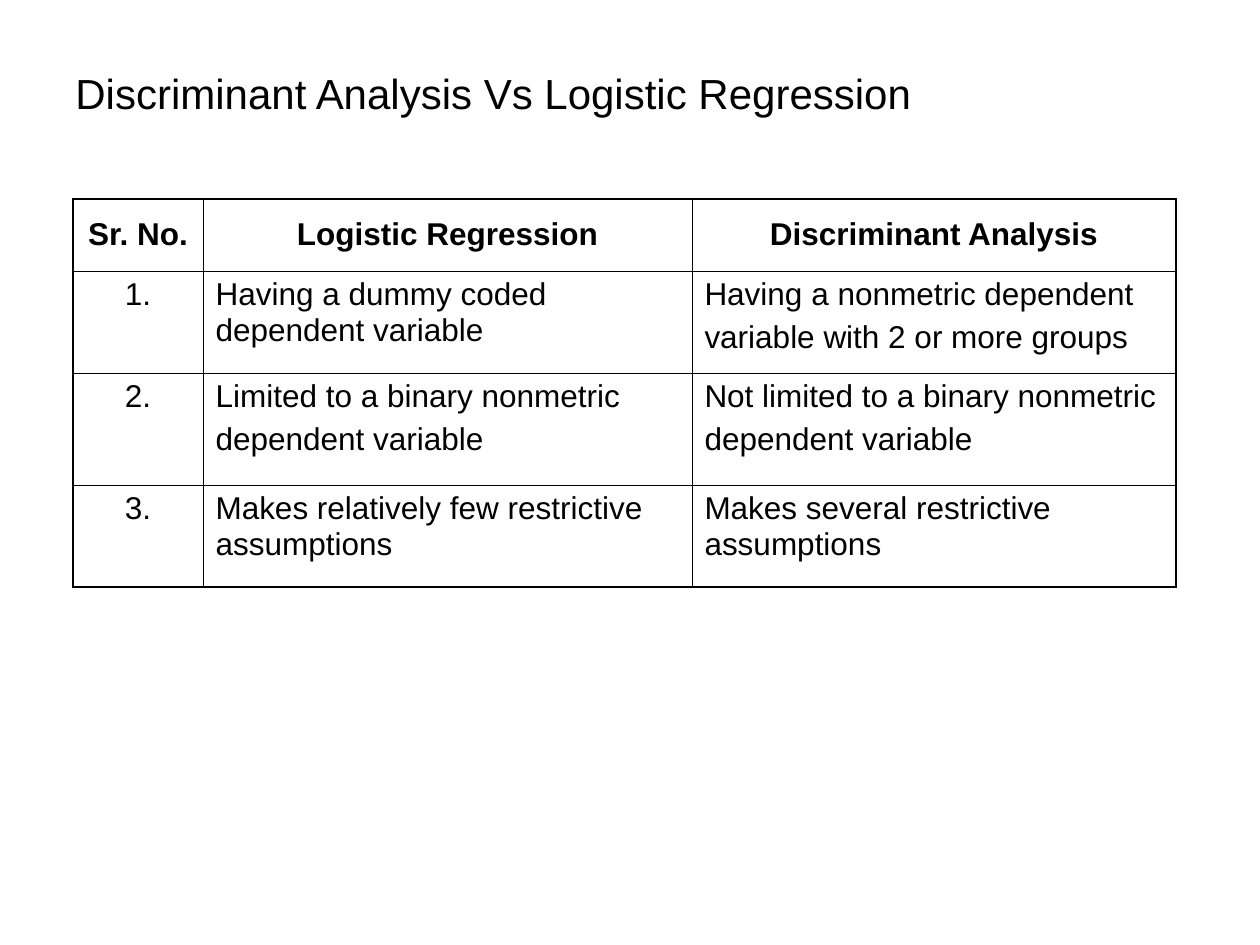
from lxml import etree
from pptx import Presentation
from pptx import util as u
from pptx.dml import color
from pptx.enum import text
from pptx.oxml import ns

FONT = "Arial"
BLACK = "000000"
THIN, THICK = 0.45, 1.08
COLUMN_WIDTHS = [74.2, 279.4, 276.5]
ROW_HEIGHTS = [41, 58.3, 64.1, 58.3]

# Each cell is a list of paragraphs.
ROWS = [
    [["Sr. No."], ["Logistic Regression"], ["Discriminant Analysis"]],
    [["1."],
     ["Having a dummy coded dependent variable"],
     ["Having a nonmetric dependent", "variable with 2 or more groups"]],
    [["2."],
     ["Limited to a binary nonmetric", "dependent variable"],
     ["Not limited to a binary nonmetric", "dependent variable"]],
    [["3."],
     ["Makes relatively few restrictive assumptions"],
     ["Makes several restrictive assumptions"]],
]


def rgb(value):
    return color.RGBColor.from_string(value)


def add_span(para, words, size, bold=False):
    span = para.add_run()
    span.text = words
    span.font.name = FONT
    span.font.size = u.Pt(size)
    span.font.bold = bold
    span.font.color.rgb = rgb(BLACK)


def add_title(page, words):
    box = page.shapes.add_textbox(u.Pt(36), u.Pt(21.6), u.Pt(648), u.Pt(62.6))
    frame = box.text_frame
    frame.word_wrap = True
    frame.vertical_anchor = text.MSO_ANCHOR.MIDDLE
    add_span(frame.paragraphs[0], words, 24)


def add_border(cell, side, width):
    properties = cell._tc.get_or_add_tcPr()
    line = etree.SubElement(properties, ns.qn(f"a:ln{side}"), w=str(u.Pt(width)))
    fill = etree.SubElement(line, ns.qn("a:solidFill"))
    etree.SubElement(fill, ns.qn("a:srgbClr"), val=BLACK)


def fill_cell(cell, lines, header, centred):
    cell.fill.background()
    cell.margin_left = cell.margin_right = u.Pt(7.2)
    cell.margin_top = cell.margin_bottom = u.Pt(3.6)
    cell.vertical_anchor = text.MSO_ANCHOR.MIDDLE if header else text.MSO_ANCHOR.TOP
    frame = cell.text_frame
    for index, words in enumerate(lines):
        para = frame.add_paragraph() if index else frame.paragraphs[0]
        para.space_before = u.Pt(4.5)
        para.alignment = text.PP_ALIGN.CENTER if centred else text.PP_ALIGN.LEFT
        add_span(para, words, 18, bold=header)


def add_comparison_table(page):
    frame = page.shapes.add_table(
        len(ROWS), len(COLUMN_WIDTHS), u.Pt(41.8), u.Pt(113.8),
        u.Pt(sum(COLUMN_WIDTHS)), u.Pt(sum(ROW_HEIGHTS)))
    table = frame.table
    table.first_row = table.horz_banding = False
    for column, width in zip(table.columns, COLUMN_WIDTHS):
        column.width = u.Pt(width)
    for row, height in zip(table.rows, ROW_HEIGHTS):
        row.height = u.Pt(height)

    last_row, last_column = len(ROWS) - 1, len(COLUMN_WIDTHS) - 1
    for r, row in enumerate(ROWS):
        for c, lines in enumerate(row):
            cell = table.cell(r, c)
            outer_edges = {"L": c == 0, "R": c == last_column,
                           "T": r == 0, "B": r == last_row}
            for side, outer in outer_edges.items():
                add_border(cell, side, THICK if outer else THIN)
            fill_cell(cell, lines, header=r == 0, centred=r == 0 or c == 0)


def main():
    deck = Presentation()
    deck.slide_width, deck.slide_height = u.Pt(720), u.Pt(540)
    page = deck.slides.add_slide(deck.slide_layouts[6])
    add_title(page, "Discriminant Analysis Vs Logistic Regression")
    add_comparison_table(page)
    deck.save("out.pptx")


if __name__ == "__main__":
    main()
